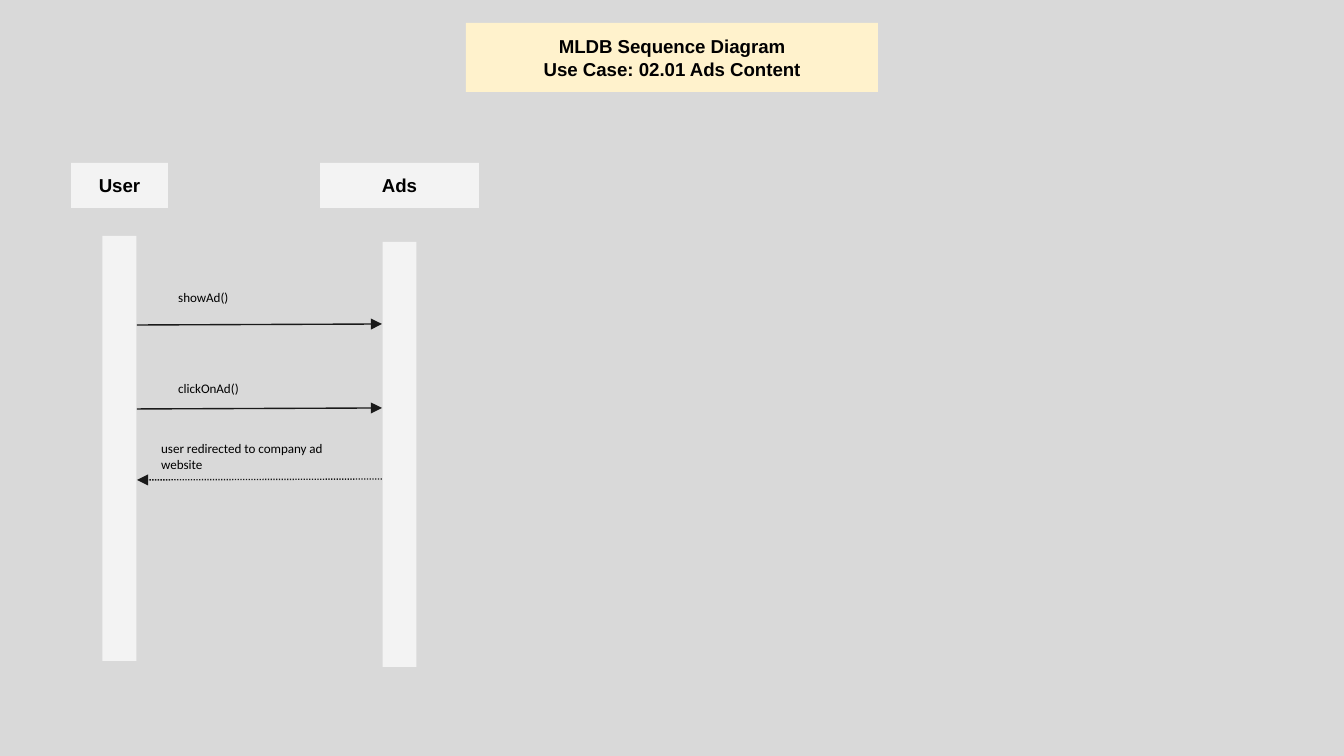
from lxml import etree
from pptx import Presentation
from pptx.dml.color import RGBColor
from pptx.enum.dml import MSO_LINE
from pptx.enum.shapes import MSO_CONNECTOR, MSO_SHAPE
from pptx.enum.text import MSO_ANCHOR, PP_ALIGN
from pptx.oxml.ns import qn
from pptx.util import Inches, Pt

EMU_PER_PX = 914400 / 134.4
RECTANGLE = MSO_SHAPE.RECTANGLE
STRAIGHT = MSO_CONNECTOR.STRAIGHT
DOTTED = MSO_LINE.ROUND_DOT
MIDDLE, TOP = MSO_ANCHOR.MIDDLE, MSO_ANCHOR.TOP
CENTER, LEFT = PP_ALIGN.CENTER, PP_ALIGN.LEFT

GREY = RGBColor(0xD9, 0xD9, 0xD9)
PALE = RGBColor(0xF3, 0xF3, 0xF3)
CREAM = RGBColor(0xFF, 0xF2, 0xCC)
INK = RGBColor(0x1A, 0x1A, 0x1A)
BLACK = RGBColor(0, 0, 0)

BAR_WIDTH, BAR_HEIGHT = 34, 425
USER_EDGE, ADS_EDGE = 137, 382


def px(*lengths):
    return [round(n * EMU_PER_PX) for n in lengths]


def write(shape, lines, font, size, bold, align, anchor):
    tf = shape.text_frame
    tf.word_wrap = True
    tf.vertical_anchor = anchor
    tf.margin_left = tf.margin_right = Inches(0.1)
    tf.margin_top = tf.margin_bottom = Inches(0.1)
    for i, line in enumerate(lines):
        p = tf.paragraphs[0] if i == 0 else tf.add_paragraph()
        p.add_run().text = line
        p.alignment = align
        p.font.name = font
        p.font.size = Pt(size)
        p.font.bold = bold
        p.font.color.rgb = BLACK


def add_box(s, box, fill, *lines):
    sp = s.shapes.add_shape(RECTANGLE, *px(*box))
    sp.shadow.inherit = False
    sp.fill.solid()
    sp.fill.fore_color.rgb = fill
    sp.line.fill.background()
    if lines:
        write(sp, lines, "Arial", 10, True, CENTER, MIDDLE)


def add_label(s, box, text):
    sp = s.shapes.add_textbox(*px(*box))
    write(sp, [text], "Calibri", 7, False, LEFT, TOP)


def add_arrow(s, start, end, dash=None):
    line = s.shapes.add_connector(STRAIGHT, *px(*start, *end))
    line.line.color.rgb = INK
    line.line.width = Pt(0.75)
    if dash:
        line.line.dash_style = dash
    sp_pr = line._element.spPr
    etree.SubElement(sp_pr.find(qn("a:ln")), qn("a:tailEnd"), type="triangle")
    etree.SubElement(sp_pr, qn("a:effectLst"))


def main():
    prs = Presentation()
    prs.slide_width, prs.slide_height = px(1344, 756)
    s = prs.slides.add_slide(prs.slide_layouts[6])
    s.background.fill.solid()
    s.background.fill.fore_color.rgb = GREY

    add_box(s, (466, 23, 412, 69), CREAM,
            "MLDB Sequence Diagram", "Use Case: 02.01 Ads Content")

    # name, header left, header width, lifeline top
    for name, left, width, bar_top in (("User", 71, 97, 236),
                                       ("Ads", 320, 159, 242)):
        add_box(s, (left, 163, width, 45), PALE, name)
        bar_left = left + (width - BAR_WIDTH) / 2
        add_box(s, (bar_left, bar_top, BAR_WIDTH, BAR_HEIGHT), PALE)

    for text, label_top, y in (("showAd()", 282, 325), ("clickOnAd()", 373, 409)):
        add_label(s, (165, label_top, 190, 27), text)
        add_arrow(s, (USER_EDGE, y), (ADS_EDGE, y - 1))

    add_label(s, (148, 427, 223, 54), "user redirected to company ad website")
    add_arrow(s, (ADS_EDGE, 479), (USER_EDGE, 480), DOTTED)

    prs.save("out.pptx")


if __name__ == "__main__":
    main()
